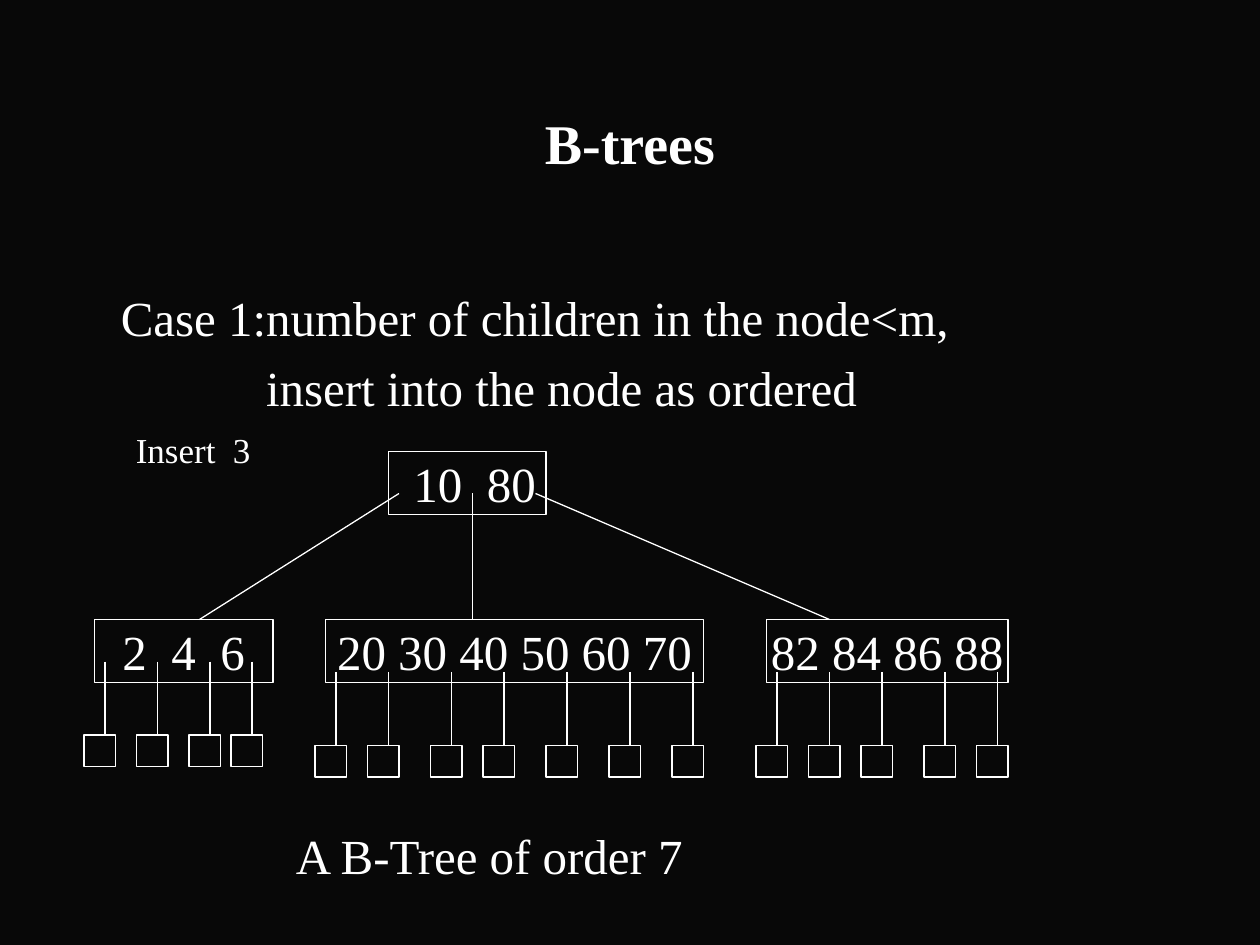
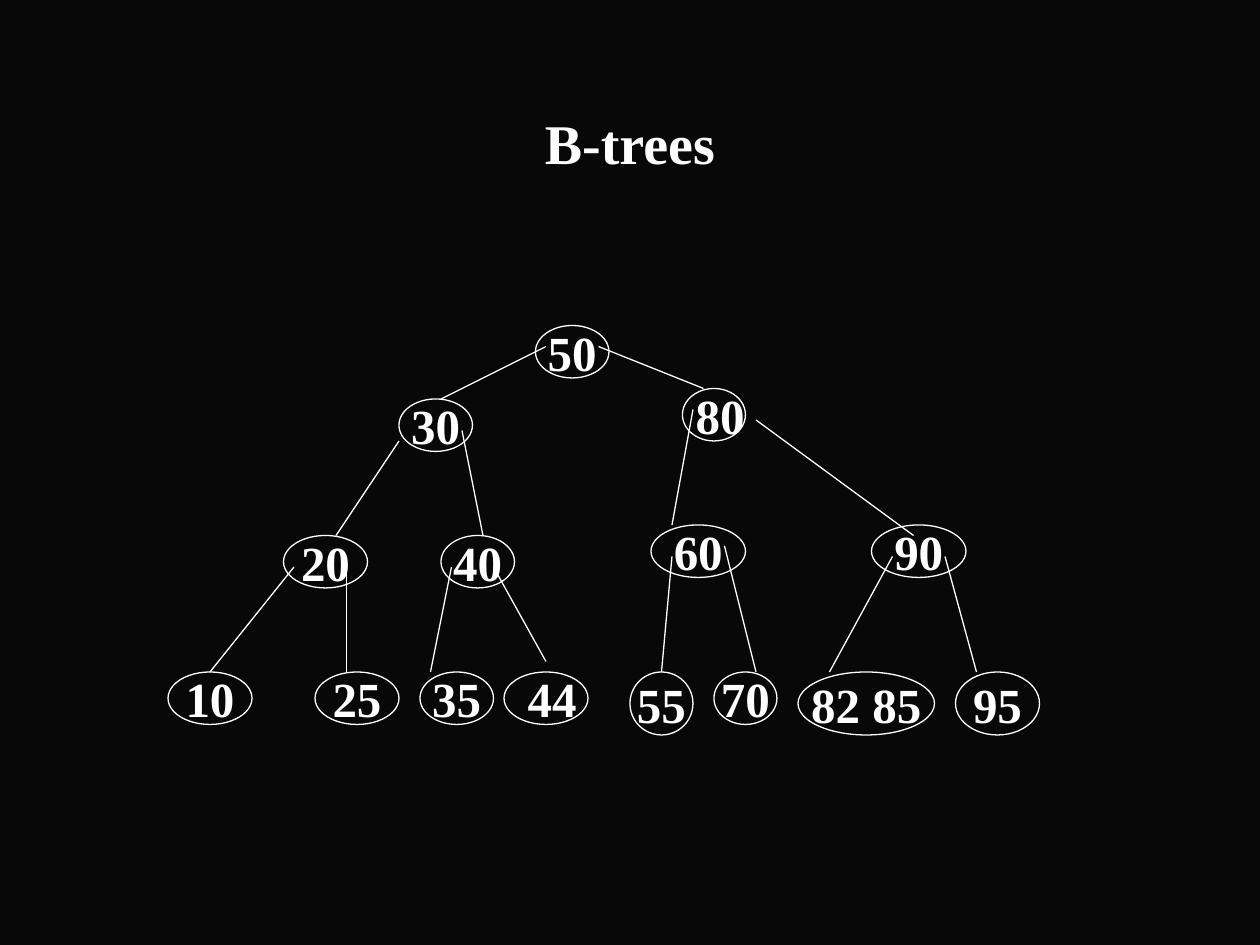
from lxml import etree
from pptx import Presentation
from pptx import util as u
from pptx.dml.color import RGBColor
from pptx.enum import shapes, text
from pptx.oxml.ns import qn

COLORS = {"background": "080808", "ink": "FFFFFF"}
FONT = "Times New Roman"
GRID = 6  # points per grid step; places below are in grid steps
LEFT, CENTER = text.PP_ALIGN.LEFT, text.PP_ALIGN.CENTER
TOP, MIDDLE = text.MSO_ANCHOR.TOP, text.MSO_ANCHOR.MIDDLE


def rgb(name):
    return RGBColor.from_string(COLORS[name])


def grid(*steps):
    return [u.Pt(step * GRID) for step in steps]


def write(sp, lines, size=28, bold=False, align=LEFT, anchor=MIDDLE,
          wrap=False, inset=7.2, indents=(0,), gap=0, tabs=()):
    """Fill a shape with one paragraph per line; inset is the left one."""
    tf = sp.text_frame
    tf.word_wrap, tf.vertical_anchor = wrap, anchor
    # Tabbed keys may run up to the right edge
    tf.margin_left, tf.margin_right = u.Pt(inset), u.Pt(0 if tabs else 7.2)
    tf.margin_top = tf.margin_bottom = u.Pt(3.6)
    for i, line in enumerate(lines.split("\n")):
        p = tf.paragraphs[0] if i == 0 else tf.add_paragraph()
        p_pr = p._p.get_or_add_pPr()
        p_pr.set("marL", str(u.Pt(indents[i])))
        if tabs:
            tab_list = etree.SubElement(p_pr, qn("a:tabLst"))
            for stop in tabs:
                etree.SubElement(tab_list, qn("a:tab"), pos=str(u.Pt(stop)), algn="l")
        p.alignment = align
        if i:
            p.space_before = u.Pt(gap)
        r = p.add_run()
        r.text = line
        r.font.name, r.font.size, r.font.bold = FONT, u.Pt(size), bold
        r.font.color.rgb = rgb("ink")


class Deck:
    def __init__(self):
        self.prs = Presentation()
        self.prs.slide_width, self.prs.slide_height = u.Pt(720), u.Pt(540)
        self.s = None

    def slide(self, title):
        self.s = self.prs.slides.add_slide(self.prs.slide_layouts[6])
        fill = self.s.background.fill
        fill.solid()
        fill.fore_color.rgb = rgb("background")
        self.text((9, 8, 102, 11), title, size=32, bold=True, align=CENTER,
                  anchor=MIDDLE, wrap=True)

    def text(self, box, words, **style):
        sp = self.s.shapes.add_textbox(*grid(*box))
        write(sp, words, **{"anchor": TOP, **style})

    def node(self, kind, box, words="", **style):
        sp = self.s.shapes.add_shape(kind, *grid(*box))
        sp.shadow.inherit = False
        sp.fill.background()
        sp.line.color.rgb, sp.line.width = rgb("ink"), u.Pt(0.75)
        if words:
            write(sp, words, **{"align": CENTER, **style})

    def line(self, *ends):
        sp = self.s.shapes.add_connector(shapes.MSO_CONNECTOR.STRAIGHT, *grid(*ends))
        sp.line.color.rgb, sp.line.width = rgb("ink"), u.Pt(0.75)
        etree.SubElement(sp._element.spPr, qn("a:effectLst"))


def insertion_slide(deck):
    rect = shapes.MSO_SHAPE.RECTANGLE
    deck.slide("B-trees")
    deck.text((9, 26.75, 102, 16),
              "Case 1:number of children in the node<m,\ninsert into the node as ordered",
              wrap=True, indents=(8, 91), gap=6.5)
    deck.text((11.75, 40.2, 14, 5.3), "Insert\t3", size=20, wrap=True, tabs=[55.5])

    # Root and its three children
    deck.node(rect, (37, 43, 15, 6), "10\t80", align=LEFT, wrap=True, inset=14.2, tabs=[42])
    deck.node(rect, (9, 59, 17, 6), "2\t4\t6", align=LEFT, wrap=True, inset=16, tabs=[28, 56])
    deck.node(rect, (31, 59, 36, 6), "20 30 40 50 60 70")
    deck.node(rect, (73, 59, 23, 6), "82 84 86 88")
    for start, end in [(38, 19), (45, 45), (51, 79)]:
        deck.line(start, 47, end, 59)

    # Empty leaves below each child
    leaf_rows = [(63, (10, 15, 20, 24)),
                 (64, (32, 37, 43, 48, 54, 60, 66)),
                 (64, (74, 79, 84, 90, 95))]
    for y, stems in leaf_rows:
        for x in stems:
            deck.line(x, y, x, y + 7)
            deck.node(rect, (x - 2, y + 7, 3, 3))

    deck.text((27, 78, 41, 6.8), "A B-Tree of order 7", wrap=True)


def search_tree_slide(deck):
    deck.slide("B-trees")

    # Nodes by level: label, left, top, width, height, left inset
    nodes = [
        ("50", 51, 31, 7, 5, 7.2),
        ("30", 38, 38, 7, 5, 7.2), ("80", 65, 37, 6, 5, 14.2),
        ("20", 27, 51, 8, 5, 7.2), ("40", 42, 51, 7, 5, 7.2),
        ("60", 62, 50, 9, 5, 7.2), ("90", 83, 50, 9, 5, 7.2),
        ("10", 16, 64, 8, 5, 7.2), ("25", 30, 64, 8, 5, 7.2),
        ("35", 40, 64, 7, 5, 7.2), ("44", 48, 64, 8, 5, 14.2),
        ("55", 60, 64, 6, 6, 7.2), ("70", 68, 64, 6, 5, 7.2),
        ("82 85", 76, 64, 13, 6, 7.2), ("95", 91, 64, 8, 6, 7.2),
    ]
    for label, x, y, w, h, inset in nodes:
        deck.node(shapes.MSO_SHAPE.OVAL, (x, y, w, h), label, bold=True, inset=inset)

    # Edges by level, parent end first
    edges = [
        (52, 33, 42, 38), (57, 33, 67, 37),
        (38, 42, 32, 51), (44, 41, 46, 51), (66, 39, 64, 50), (72, 40, 87, 51),
        (28, 54, 20, 64), (33, 54, 33, 64), (43, 54, 41, 64), (47, 54, 52, 63),
        (64, 53, 63, 64), (69, 52, 72, 64), (85, 53, 79, 64), (90, 53, 93, 64),
    ]
    for edge in edges:
        deck.line(*edge)


def main():
    deck = Deck()
    insertion_slide(deck)
    search_tree_slide(deck)
    deck.prs.save("out.pptx")


if __name__ == "__main__":
    main()
